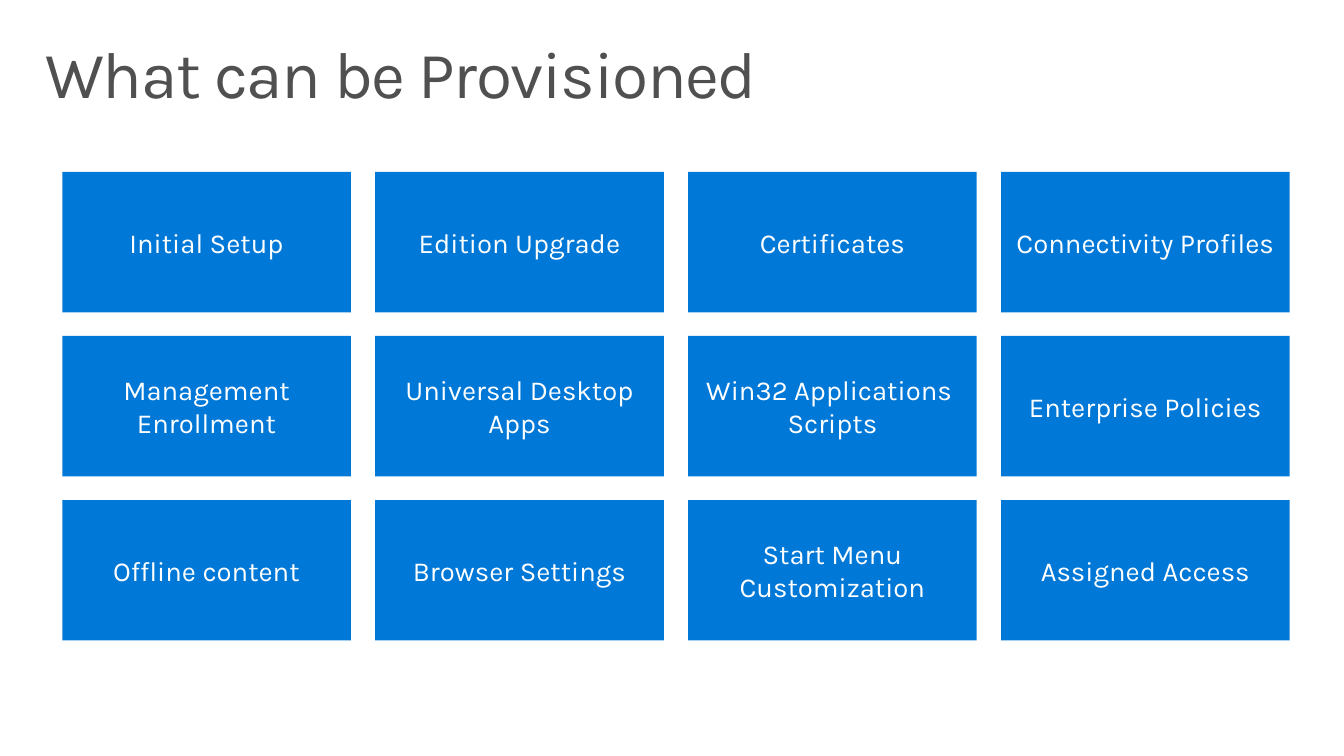
import pptx
import pptx.util
import pptx.dml.color
import pptx.enum.shapes
import pptx.enum.text

Inches = pptx.util.Inches
Align = pptx.enum.text.PP_ALIGN
Anchor = pptx.enum.text.MSO_ANCHOR

FONT = "Karla"
BLUE, GREY, WHITE = "0078D7", "505050", "FFFFFF"
TILES = [
    ["Initial Setup", "Edition Upgrade", "Certificates", "Connectivity Profiles"],
    ["Management Enrollment", "Universal Desktop Apps",
     "Win32 Applications \nScripts", "Enterprise Policies"],
    ["Offline content", "Browser Settings", "Start Menu Customization",
     "Assigned Access"],
]


def color(code):
    return pptx.dml.color.RGBColor.from_string(code)


def set_frame(frame, anchor, side, edge):
    """Set the wrap, anchor and side and top/bottom insets of a text frame."""
    frame.word_wrap = True
    frame.auto_size = pptx.enum.text.MSO_AUTO_SIZE.NONE
    frame.vertical_anchor = anchor
    frame.margin_left = frame.margin_right = Inches(side)
    frame.margin_top = frame.margin_bottom = Inches(edge)


def add_run(para, text, size, code):
    run = para.add_run()
    run.text = text
    run.font.name = FONT
    run.font.size = pptx.util.Pt(size)
    run.font.color.rgb = color(code)
    return run


def add_title(slide, text, left, top, width, height):
    title = slide.shapes.title
    title.left, title.top = Inches(left), Inches(top)
    title.width, title.height = Inches(width), Inches(height)
    set_frame(title.text_frame, Anchor.TOP, 0.16, 0.1)
    para = title.text_frame.paragraphs[0]
    para.alignment = Align.LEFT
    para.line_spacing = 0.9
    run = add_run(para, text, 48, GREY)
    run._r.get_or_add_rPr().set("spc", "-100")


def add_tile(slide, text, left, top, width, height):
    tile = slide.shapes.add_shape(
        pptx.enum.shapes.MSO_SHAPE.RECTANGLE,
        Inches(left), Inches(top), Inches(width), Inches(height))
    tile.shadow.inherit = False
    tile.fill.solid()
    tile.fill.fore_color.rgb = color(BLUE)
    tile.line.fill.background()
    frame = tile.text_frame
    set_frame(frame, Anchor.MIDDLE, 0, 0.05)
    for i, line in enumerate(text.split("\n")):
        para = frame.add_paragraph() if i else frame.paragraphs[0]
        para.alignment = Align.CENTER
        add_run(para, line, 20, WHITE)


def add_grid(slide, rows, left, top, width, height):
    """Fill the box with equal tiles, spread evenly both ways."""
    wide, high = 2.92, 1.42
    step_x = (width - wide) / (len(rows[0]) - 1)
    step_y = (height - high) / (len(rows) - 1)
    for r, row in enumerate(rows):
        for c, text in enumerate(row):
            add_tile(slide, text, left + c * step_x, top + r * step_y,
                     wide, high)


def main():
    deck = pptx.Presentation()
    deck.slide_width, deck.slide_height = Inches(13.6), Inches(7.65)
    slide = deck.slides.add_slide(deck.slide_layouts.get_by_name("Title Only"))
    add_title(slide, "What can be Provisioned", 0.3, 0.32, 13, 1)
    add_grid(slide, TILES, 0.63, 1.74, 12.42, 4.74)
    deck.save("out.pptx")


if __name__ == "__main__":
    main()
